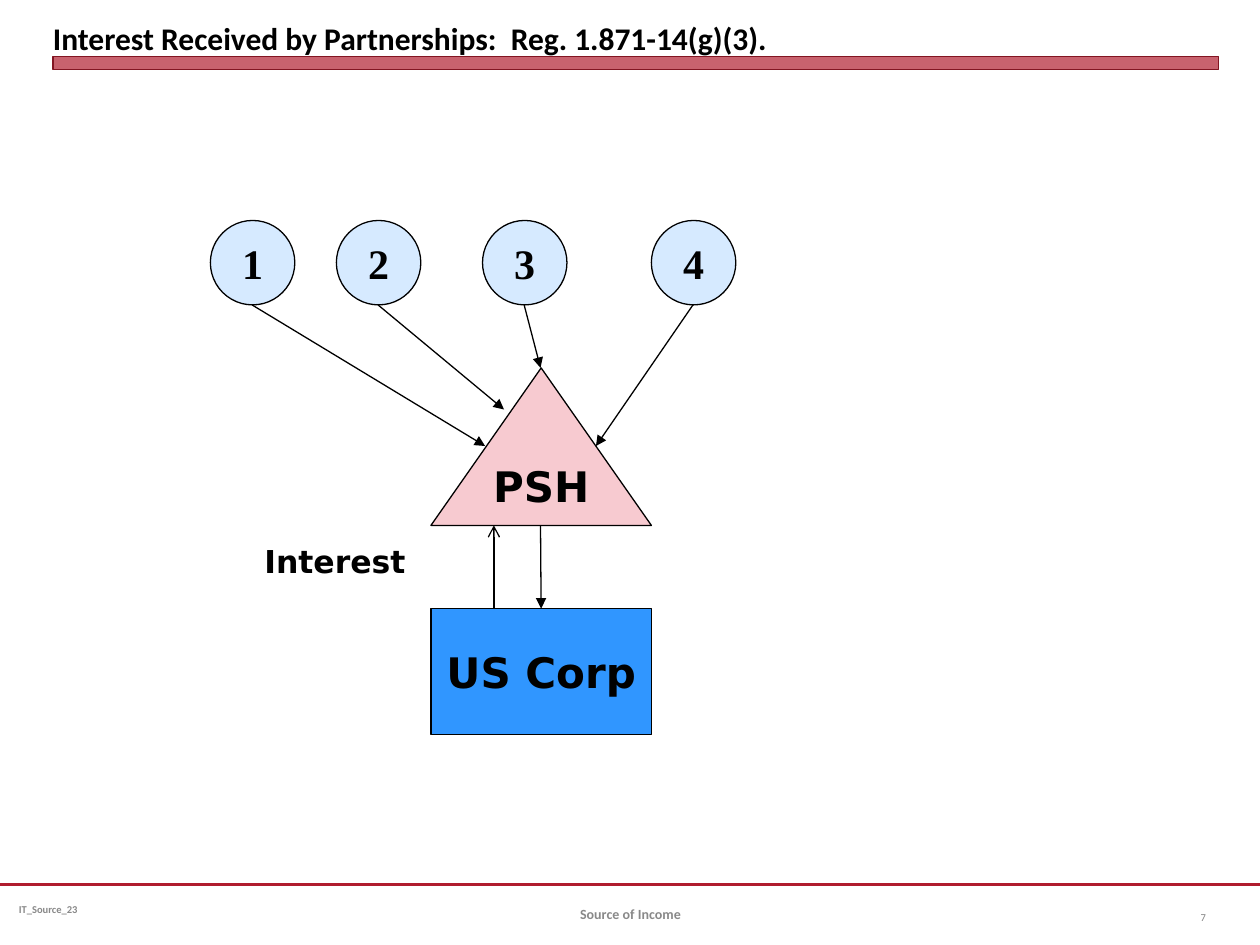
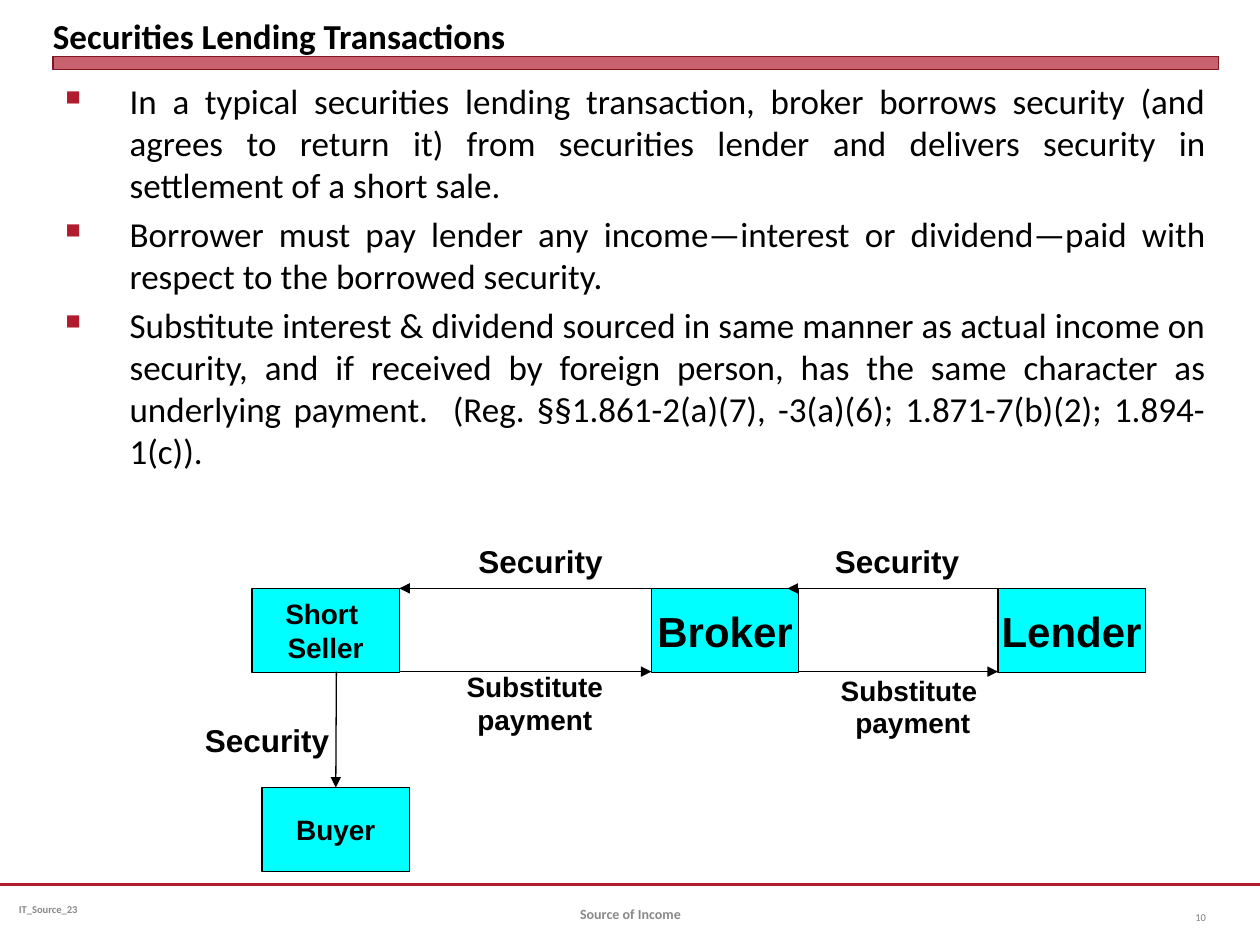
"""Build two tax slides: a partnership chart and a securities lending chart."""
from lxml import etree
from pptx import Presentation, util as u
from pptx.dml.color import RGBColor
from pptx.enum import shapes, text
from pptx.oxml import ns

RED, GREY, BLACK, AQUA = "B01C2E", "898989", "000000", "00FFFF"
KIND, ALIGN, ANCHOR = shapes.MSO_SHAPE, text.PP_ALIGN, text.MSO_ANCHOR
hue = RGBColor.from_string


def put(slide, kind, at, words="", size=18, font="Arial", fill=None, color=BLACK,
        bold=True, align=ALIGN.CENTER, anchor=ANCHOR.MIDDLE, before=0, space=None):
    """Add a shape, or a text box when kind is None, with one paragraph a line."""
    at = [u.Inches(n) for n in at]
    if kind is None:
        item = slide.shapes.add_textbox(*at)
    else:
        item = slide.shapes.add_shape(kind, *at)
        item.shadow.inherit = False
        item.fill.solid()
        item.fill.fore_color.rgb = hue(fill)
        item.line.color.rgb = hue(BLACK)
        item.line.width = u.Pt(0.75)
    frame = item.text_frame
    frame.word_wrap = kind is None
    frame.vertical_anchor = anchor
    frame.text = words
    for para in frame.paragraphs:
        para.alignment = align
        para.space_before = u.Pt(before)
        para.line_spacing = space
        para.font.name, para.font.size, para.font.bold = font, u.Pt(size), bold
        para.font.color.rgb = hue(color)
    return item


def link(slide, start, end, head="triangle", color=BLACK, width=0.75):
    """Add a straight line, with an arrowhead at its end if one is named."""
    ends = [u.Inches(n) for n in (*start, *end)]
    line = slide.shapes.add_connector(shapes.MSO_CONNECTOR.STRAIGHT, *ends)
    line.line.color.rgb = hue(color)
    line.line.width = u.Pt(width)
    props = line._element.spPr
    if head:
        etree.SubElement(props.find(ns.qn("a:ln")), ns.qn("a:tailEnd"), type=head)
    etree.SubElement(props, ns.qn("a:effectLst"))
    return line


deck = Presentation()
deck.slide_width, deck.slide_height = u.Inches(10), u.Inches(7.5)

pages = []
for name, size, number in (
        ("Interest Received by Partnerships:  Reg. 1.871-14(g)(3).", 18, "7"),
        ("Securities Lending Transactions", 20, "10")):
    page = deck.slides.add_slide(deck.slide_layouts[5])
    pages.append(page)
    link(page, (0, 7.02), (10, 7.02), None, RED, 1.25)
    band = put(page, KIND.RECTANGLE, (0.42, 0.45, 9.25, 0.1), fill=RED)
    band.line.color.rgb = hue("821522")
    band.line.width = 0
    tint = band._element.spPr.find(ns.qn("a:solidFill"))[0]
    etree.SubElement(tint, ns.qn("a:alpha"), val="69000")

    title = page.shapes.title
    title.left, title.top = u.Inches(0.42), u.Inches(0.05)
    title.width, title.height = u.Inches(9.25), u.Inches(0.4)
    frame = title.text_frame
    frame.text = name
    frame.auto_size = text.MSO_AUTO_SIZE.NONE
    frame.vertical_anchor = ANCHOR.BOTTOM
    frame.margin_left = frame.margin_right = frame.margin_top = frame.margin_bottom = 0
    para = frame.paragraphs[0]
    para.alignment = ALIGN.LEFT
    para.font.name, para.font.size, para.font.bold = "Calibri", u.Pt(size), True
    para.font.color.rgb = hue(BLACK)

    tag = put(page, None, (0.08, 7.02, 2.58, 0.4), "IT_Source_23", 6, "Calibri",
              color=GREY, align=ALIGN.LEFT)
    tag.text_frame.margin_left = u.Inches(0.07)
    put(page, None, (3.42, 7.05, 3.17, 0.4), "Source of Income", 8, "Calibri", color=GREY)
    put(page, None, (9.17, 7.08, 0.5, 0.4), number, 6, "Calibri", color="808080",
        bold=False, align=ALIGN.RIGHT)

fund, loan = pages

corp = put(fund, KIND.RECTANGLE, (3.42, 4.83, 1.75, 1), "US Corp", 24, "DejaVu Sans", "3096FF")
put(fund, KIND.ISOSCELES_TRIANGLE, (3.42, 2.92, 1.75, 1.25), "PSH", 24, "DejaVu Sans", "F7CAD0")
partners = ((1.67, (3.85, 3.54)), (2.67, (4, 3.25)), (3.83, (4.29, 2.92)), (5.17, (4.73, 3.54)))
for count, (left, end) in enumerate(partners, 1):
    put(fund, KIND.FLOWCHART_CONNECTOR, (left, 1.75, 0.67, 0.67), str(count), 24,
        "Times New Roman", "D6EAFF")
    link(fund, (left + 0.33, 2.42), end)
link(fund, (4.29, 4.17), (4.29, 4.83)).end_connect(corp, 0)
link(fund, (3.92, 4.83), (3.92, 4.17), "arrow")
put(fund, None, (2, 4.25, 1.5, 0.4), "Interest", 18, "DejaVu Sans",
    align=ALIGN.LEFT, anchor=ANCHOR.TOP)

points = (
    "In a typical securities lending transaction, broker borrows security (and agrees to "
    "return it) from securities lender and delivers security in settlement of a short sale.",
    "Borrower must pay lender any income—interest or dividend—paid with respect to the "
    "borrowed security.",
    "Substitute interest & dividend sourced in same manner as actual income on security, "
    "and if received by foreign person, has the same character as underlying payment.  "
    "(Reg. §§1.861-2(a)(7), -3(a)(6); 1.871-7(b)(2); 1.894-1(c)).",
)
body = put(loan, None, (0.42, 0.58, 9.25, 6.36), "\n".join(points), 20, "Calibri",
           bold=False, align=ALIGN.JUSTIFY, anchor=ANCHOR.TOP, before=4)
for para in body.text_frame.paragraphs:
    props = para._p.get_or_add_pPr()
    props.set("marL", str(u.Inches(0.51)))
    props.set("indent", str(-u.Inches(0.51)))
    shade = etree.Element(ns.qn("a:buClr"))
    etree.SubElement(shade, ns.qn("a:srgbClr"), val=RED)
    mark = [shade, etree.Element(ns.qn("a:buSzPct"), val="60000"),
            etree.Element(ns.qn("a:buChar"), char="■")]
    spot = props.find(ns.qn("a:spcBef"))
    for part in reversed(mark):
        spot.addnext(part)

parties = {}
for name, left, top, size in (("Buyer", 2.08, 6.25, 16), ("Broker", 5.17, 4.67, 24),
                              ("Short \nSeller", 2, 4.67, 16), ("Lender", 7.92, 4.67, 24)):
    parties[name] = put(loan, KIND.RECTANGLE, (left, top, 1.17, 0.67), name, size, fill=AQUA)
for start, end, level in ((5.17, 3.17, 4.67), (7.92, 6.25, 4.67),
                          (3.17, 5.17, 5.33), (6.33, 7.92, 5.33)):
    link(loan, (start, level), (end, level))
link(loan, (2.67, 5.33), (2.67, 6.25)).end_connect(parties["Buyer"], 0)
for left, top in ((3.25, 4.25), (6.08, 4.25), (1.08, 5.67)):
    put(loan, None, (left, top, 2.08, 0.4), "Security", anchor=ANCHOR.TOP)
for left, top, words in ((3.08, 5.38, "Substitute\npayment"), (6.08, 5.41, "Substitute \npayment")):
    put(loan, None, (left, top, 2.33, 0.5), words, 16, anchor=ANCHOR.TOP, before=9, space=0.5)

deck.save("out.pptx")
